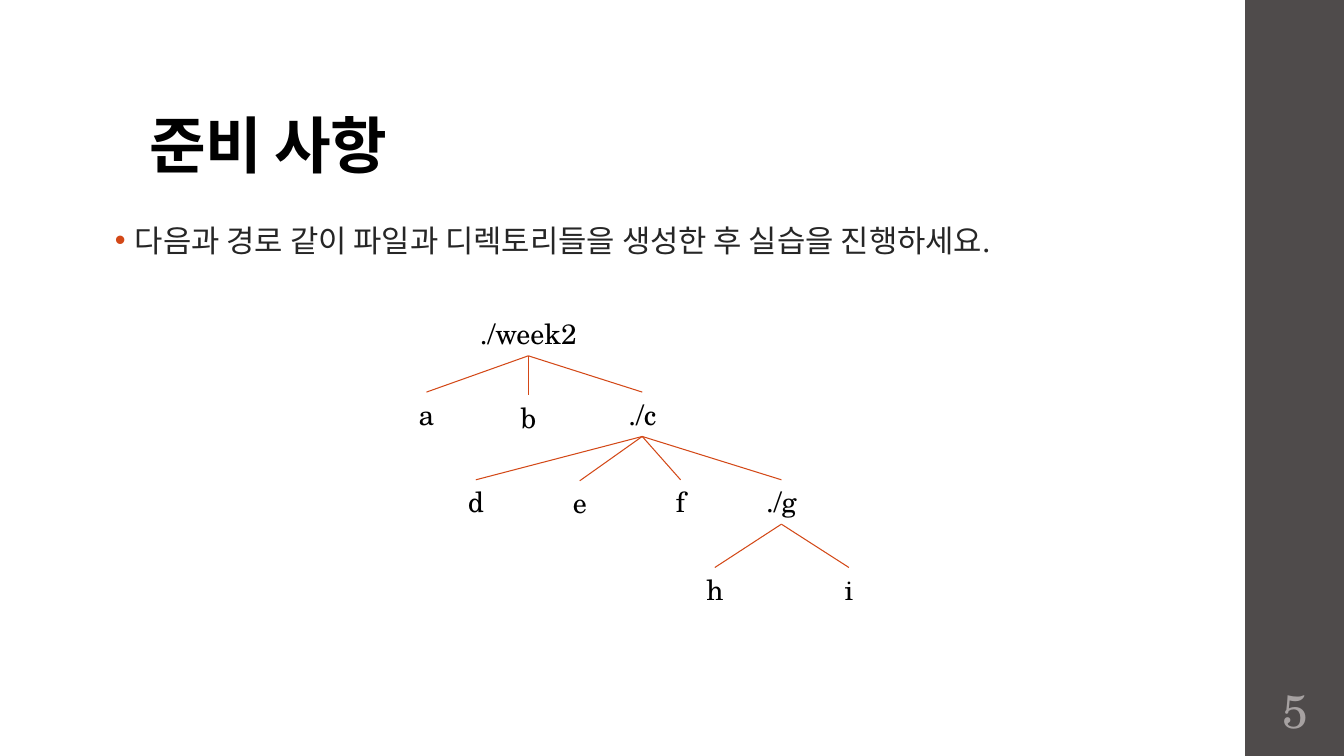
from lxml.etree import SubElement
from pptx import Presentation
from pptx.dml.color import RGBColor
from pptx.enum.shapes import MSO_CONNECTOR, MSO_SHAPE
from pptx.enum.text import MSO_ANCHOR, MSO_AUTO_SIZE, PP_ALIGN
from pptx.oxml import parse_xml
from pptx.oxml.ns import nsdecls, qn
from pptx.util import Inches, Pt


def color(value):
    """Turn a hex string into a colour."""
    return RGBColor.from_string(value)


class SlideBuilder:
    """Hold the style and the current slide, and add elements to it."""

    LATIN = "TeX Gyre Schola"
    KOREAN = "Noto Sans CJK KR"
    BLACK, BODY, ACCENT = "000000", "262626", "D34817"
    SIDEBAR, NUMBER = "4F4B4B", "A6A1A1"

    def __init__(self, presentation):
        """Start a title-only slide."""
        self.slide = presentation.slides.add_slide(presentation.slide_layouts[5])

    def set_text(self, shape, text, size, fill, font=LATIN, align=PP_ALIGN.LEFT):
        """Put one styled paragraph into a shape."""
        paragraph = shape.text_frame.paragraphs[0]
        paragraph.text = text
        paragraph.alignment = align
        paragraph.font.size = Pt(size)
        paragraph.font.color.rgb = color(fill)
        paragraph.font.name = font
        properties = paragraph._p.pPr.find(qn("a:defRPr"))
        SubElement(properties, qn("a:ea")).set("typeface", self.KOREAN)
        return paragraph

    def box(self, left, top, width, height):
        """Add an empty wrapping text box."""
        shape = self.slide.shapes.add_textbox(
            Inches(left), Inches(top), Inches(width), Inches(height))
        shape.text_frame.word_wrap = True
        return shape

    def title(self, text, left, top, width, height):
        """Place and format the title placeholder."""
        shape = self.slide.shapes.title
        shape.left, shape.top = Inches(left), Inches(top)
        shape.width, shape.height = Inches(width), Inches(height)
        shape.text_frame.auto_size = MSO_AUTO_SIZE.NONE
        shape.text_frame.vertical_anchor = MSO_ANCHOR.BOTTOM
        paragraph = self.set_text(shape, text, 44, self.BLACK, self.KOREAN)
        paragraph.line_spacing = 0.9
        paragraph.font.bold = True
        paragraph._p.pPr.find(qn("a:defRPr")).set("spc", "-50")

    def bullet(self, text, left, top, width, height):
        """Add a bulleted sentence."""
        paragraph = self.set_text(self.box(left, top, width, height), text, 22, self.BODY)
        paragraph.space_before = paragraph.space_after = Pt(3)
        properties = paragraph._p.pPr
        properties.set("marL", str(Inches(0.5)))
        properties.set("indent", str(Inches(-0.2)))
        defaults = properties.find(qn("a:defRPr"))
        for markup in (
            f'<a:buClr {nsdecls("a")}><a:srgbClr val="{self.ACCENT}"/></a:buClr>',
            f'<a:buFont {nsdecls("a")} typeface="Arial"/>',
            f'<a:buChar {nsdecls("a")} char="•"/>',
        ):
            defaults.addprevious(parse_xml(markup))

    def sidebar(self, left, width, height):
        """Add the dark band on the right."""
        shape = self.slide.shapes.add_shape(
            MSO_SHAPE.RECTANGLE, Inches(left), 0, Inches(width), Inches(height))
        shape.shadow.inherit = False
        shape.fill.solid()
        shape.fill.fore_color.rgb = color(self.SIDEBAR)
        shape.line.fill.background()

    def page_number(self, text, left, top, width, height):
        """Add the page number."""
        shape = self.box(left, top, width, height)
        frame = shape.text_frame
        frame.vertical_anchor = MSO_ANCHOR.MIDDLE
        frame.margin_left = frame.margin_right = Inches(0.05)
        frame.margin_top = frame.margin_bottom = Inches(0.05)
        paragraph = self.set_text(shape, text, 33.3, self.NUMBER, align=PP_ALIGN.CENTER)
        paragraph.line_spacing = 0.9

    def node(self, text, center, top, width):
        """Add a tree label centred on a column."""
        shape = self.box(center - width / 2, top, width, 0.44)
        shape.text_frame.auto_size = MSO_AUTO_SIZE.SHAPE_TO_FIT_TEXT
        self.set_text(shape, text, 20, self.BLACK, align=PP_ALIGN.CENTER)
        return shape

    def branch(self, parent, child):
        """Join a parent label to its child."""
        connector = self.slide.shapes.add_connector(MSO_CONNECTOR.STRAIGHT, 0, 0, 0, 0)
        connector.begin_connect(parent, 2)
        connector.end_connect(child, 0)
        connector.line.color.rgb = color(self.ACCENT)
        connector.line.width = Pt(0.75)
        SubElement(connector._element.spPr, qn("a:effectLst"))


TREE = [
    ("./week2", 5.24, 3.09, 1.39, None),
    ("a", 4.23, 3.89, 0.49, "./week2"),
    ("b", 5.24, 3.92, 0.49, "./week2"),
    ("./c", 6.37, 3.89, 0.69, "./week2"),
    ("d", 4.72, 4.76, 0.69, "./c"),
    ("e", 5.75, 4.77, 0.69, "./c"),
    ("f", 6.75, 4.76, 0.64, "./c"),
    ("./g", 7.75, 4.76, 0.69, "./c"),
    ("h", 7.09, 5.63, 0.64, "./g"),
    ("i", 8.42, 5.63, 0.64, "./g"),
]


def main():
    """Build and save the slide."""
    presentation = Presentation()
    presentation.slide_width, presentation.slide_height = Inches(13.33), Inches(7.5)
    builder = SlideBuilder(presentation)
    builder.sidebar(12.35, 0.98, 7.5)
    builder.title("준비 사항", 1.38, 0.4, 10.6, 1.45)
    builder.bullet("다음과 경로 같이 파일과 디렉토리들을 생성한 후 실습을 진행하세요.",
                   0.74, 2.15, 11.76, 0.65)
    builder.page_number("5", 12.35, 6.75, 1, 0.65)
    nodes = {}
    for name, center, top, width, parent in TREE:
        nodes[name] = builder.node(name, center, top, width)
        if parent:
            builder.branch(nodes[parent], nodes[name])
    presentation.save("out.pptx")


if __name__ == "__main__":
    main()
